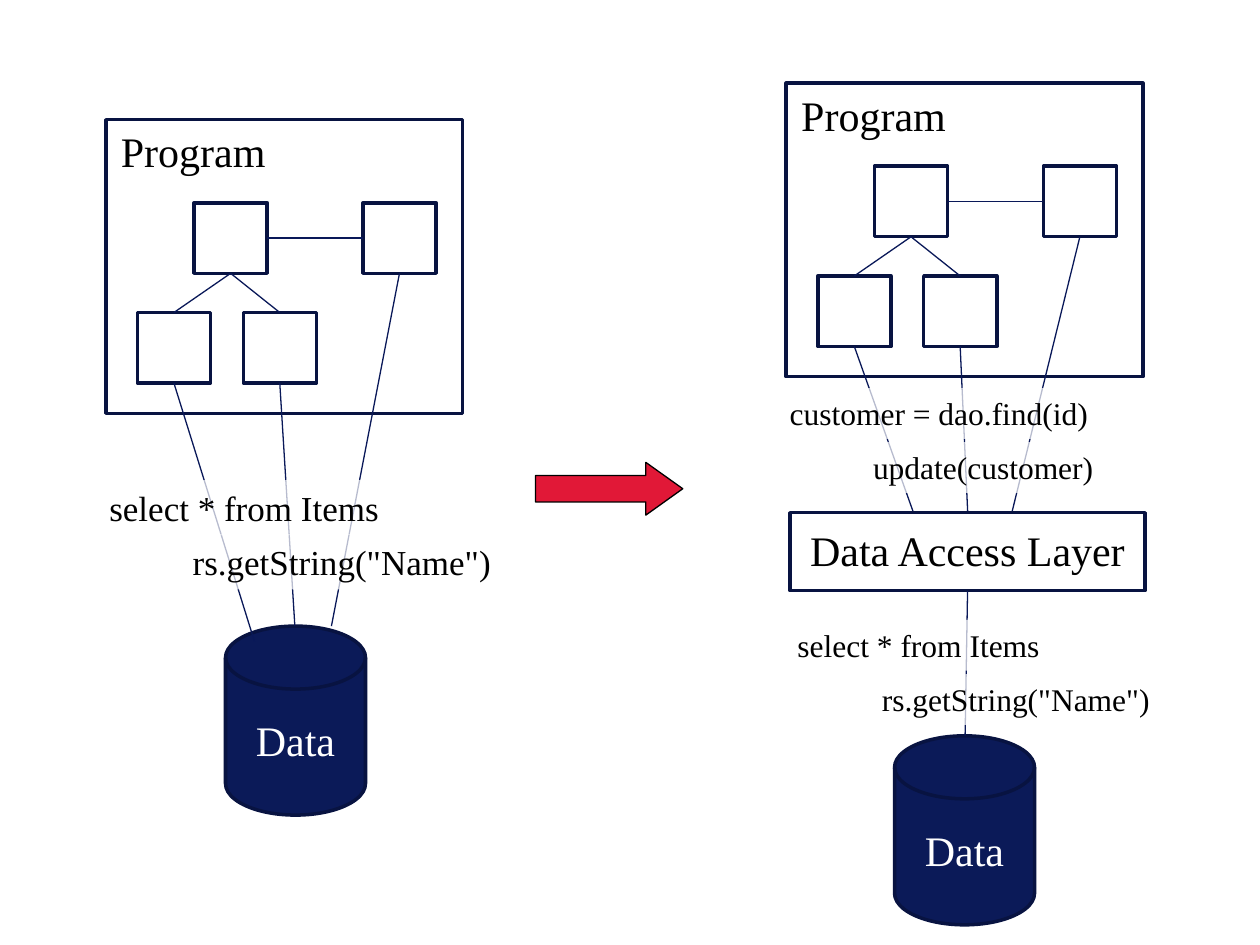
from lxml.etree import SubElement
from pptx import Presentation
from pptx.dml.color import RGBColor
from pptx.enum.shapes import MSO_CONNECTOR, MSO_SHAPE as SHAPE
from pptx.enum.text import MSO_ANCHOR as ANCHOR, MSO_AUTO_SIZE, PP_ALIGN as ALIGN
from pptx.oxml.ns import qn
from pptx.util import Pt

FONT = "Times New Roman"
BLACK = RGBColor(0, 0, 0)
WHITE = RGBColor(255, 255, 255)
NAVY = RGBColor(0x0B, 0x1A, 0x58)
OUTLINE = RGBColor(0x08, 0x13, 0x41)
LINK = RGBColor(0x09, 0x18, 0x58)
RED = RGBColor(0xE1, 0x18, 0x37)

TOP, LEFT, BOTTOM, RIGHT = range(4)  # connection sites of a rectangle
PROGRAM_W, PROGRAM_H = 203.8, 167.8
MODULE_W, MODULE_H = 41.8, 40.3
MODULES = {"parent": (50.4, 47.5), "peer": (146.9, 47.5),
           "left": (18, 110.2), "right": (78.5, 110.2)}


def add_box(slide, kind, x, y, w, h, fill=None, line=OUTLINE, width=2):
    """Add a preset shape without shadow."""
    sp = slide.shapes.add_shape(kind, Pt(x), Pt(y), Pt(w), Pt(h))
    sp.shadow.inherit = False
    if fill is None:
        sp.fill.background()
    else:
        sp.fill.solid()
        sp.fill.fore_color.rgb = fill
    sp.line.color.rgb = line
    sp.line.width = Pt(width)
    return sp


def set_text(sp, text, size=24, color=BLACK, align=ALIGN.CENTER, anchor=ANCHOR.MIDDLE):
    """Write one formatted line into a shape."""
    tf = sp.text_frame
    tf.text = text
    tf.word_wrap = False
    tf.vertical_anchor = anchor
    p = tf.paragraphs[0]
    p.alignment = align
    font = p.runs[0].font
    font.name, font.size, font.color.rgb = FONT, Pt(size), color


def add_link(slide, start, site, end=None, end_site=TOP, point=(0, 0)):
    """Draw a thin line from a shape's site to another shape or to a point."""
    x, y = point
    line = slide.shapes.add_connector(MSO_CONNECTOR.STRAIGHT, Pt(x), Pt(y), Pt(x), Pt(y))
    line.begin_connect(start, site)
    if end is not None:
        line.end_connect(end, end_site)
    line.line.color.rgb = LINK
    line.line.width = Pt(0.75)
    SubElement(line._element.spPr, qn("a:effectLst"))


def add_program(slide, x, y):
    """Add the program frame with its linked modules, and return the modules."""
    frame = add_box(slide, SHAPE.RECTANGLE, x, y, PROGRAM_W, PROGRAM_H)
    set_text(frame, "Program", align=ALIGN.LEFT, anchor=ANCHOR.TOP)
    frame.text_frame.margin_left = Pt(8.6)
    modules = {name: add_box(slide, SHAPE.RECTANGLE, x + dx, y + dy, MODULE_W, MODULE_H)
               for name, (dx, dy) in MODULES.items()}
    add_link(slide, modules["parent"], RIGHT, modules["peer"], LEFT)
    for child in ("left", "right"):
        add_link(slide, modules["parent"], BOTTOM, modules[child], TOP)
    return modules


def add_access(slide, modules, targets):
    """Link the left, right and peer modules down to the target points."""
    for name, point in zip(("left", "right", "peer"), targets):
        add_link(slide, modules[name], BOTTOM, point=point)


def add_database(slide, x, y):
    """Add the data cylinder."""
    disk = add_box(slide, SHAPE.FLOWCHART_MAGNETIC_DISK, x, y, 80, 108, fill=NAVY)
    set_text(disk, "Data", color=WHITE)
    tf = disk.text_frame
    tf.margin_top, tf.margin_bottom = Pt(4), 0


def add_code(slide, text, x, y, w, h, size):
    """Add a code label on a translucent white ground."""
    sp = slide.shapes.add_textbox(Pt(x), Pt(y), Pt(w), Pt(h))
    sp.fill.solid()
    sp.fill.fore_color.rgb = WHITE
    color = sp._element.spPr.find(qn("a:solidFill"))[0]
    SubElement(color, qn("a:alpha"), val="71000")
    set_text(sp, text, size, align=ALIGN.LEFT, anchor=ANCHOR.TOP)
    sp.text_frame.auto_size = MSO_AUTO_SIZE.SHAPE_TO_FIT_TEXT


def add_direct_design(slide):
    """Draw the program that reaches the data directly."""
    modules = add_program(slide, 60.5, 68.4)
    add_database(slide, 128.9, 357.8)
    add_access(slide, modules, [(145.4, 366.5), (168.5, 357.8), (189.4, 357.8)])
    add_code(slide, "select * from Items", 55.4, 274.3, 169.2, 31.5, 20)
    add_code(slide, 'rs.getString("Name")', 103, 305.3, 191.5, 31.5, 20)


def add_layered_design(slide):
    """Draw the program that reaches the data through an access layer."""
    modules = add_program(slide, 449.3, 47.5)
    add_database(slide, 511.2, 420.5)
    add_access(slide, modules, [(522, 293), (553, 293), (578.2, 293)])
    layer = add_box(slide, SHAPE.RECTANGLE, 451.4, 293, 203, 44.6)
    set_text(layer, "Data Access Layer")
    layer.text_frame.margin_bottom = Pt(6)
    add_link(slide, layer, BOTTOM, point=(551.5, 420.5))
    for text, x, y, w in [("select * from Items", 448.6, 354.2, 154),
                          ('rs.getString("Name")', 496.8, 385.2, 169.2),
                          ("customer = dao.find(id)", 444.2, 221.8, 187.2),
                          ("update(customer)", 491.8, 252.7, 141.8)]:
        add_code(slide, text, x, y, w, 29, 18)


def main():
    """Build the slide and save it."""
    prs = Presentation()
    prs.slide_width, prs.slide_height = Pt(720), Pt(540)
    slide = prs.slides.add_slide(prs.slide_layouts[6])
    add_direct_design(slide)
    arrow = add_box(slide, SHAPE.RIGHT_ARROW, 306, 264.2, 84.2, 30.2, RED, BLACK, 0.75)
    arrow.adjustments[1] = 0.7
    add_layered_design(slide)
    prs.save("out.pptx")


main()
